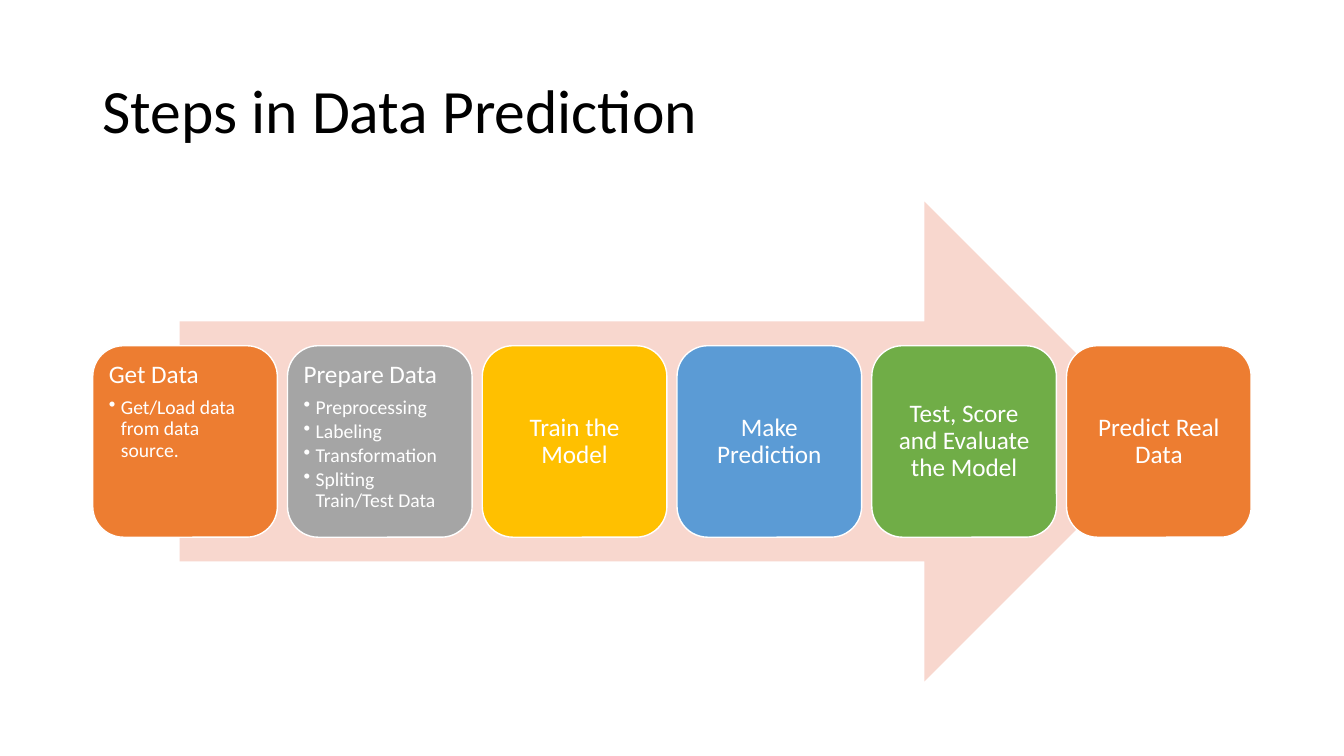
from lxml.etree import SubElement
from pptx import Presentation
from pptx.dml.color import RGBColor
from pptx.enum.shapes import MSO_SHAPE
from pptx.enum.text import MSO_ANCHOR, PP_ALIGN
from pptx.oxml.ns import qn
from pptx.util import Inches, Pt

SLIDE_WIDTH, SLIDE_HEIGHT = 13.33, 7.5
MARGIN = 0.92
CONTENT_WIDTH = SLIDE_WIDTH - 2 * MARGIN
STEP_GAP = 0.1
STEP_HEIGHT = 1.9
ARROW_TOP, ARROW_HEIGHT = 2, 4.76
ARROW_SHARE = 0.85
STEPS = [
    ("Get Data", "ED7D31", ["Get/Load data from data source."]),
    ("Prepare Data", "A5A5A5", ["Preprocessing", "Labeling", "Transformation",
                                "Spliting Train/Test Data"]),
    ("Train the Model", "FFC000", []),
    ("Make Prediction", "5B9BD5", []),
    ("Test, Score and Evaluate the Model", "70AD47", []),
    ("Predict Real Data", "ED7D31", []),
]


def color(hex_string):
    """Turn a hex string into a colour."""
    return RGBColor.from_string(hex_string)


class ProcessSlide:
    """Holds the text style and the slide being built."""

    font_name = "Calibri"
    line_spacing = 0.9
    inset = Inches(0.07)

    def __init__(self, slide):
        """Keep the slide that receives the elements."""
        self.slide = slide

    def set_text(self, paragraph, text, size, hex_string, space_after=0):
        """Fill a paragraph with styled text."""
        paragraph.text = text
        paragraph.line_spacing = self.line_spacing
        paragraph.space_after = Pt(space_after)
        paragraph.font.name = self.font_name
        paragraph.font.size = Pt(size)
        paragraph.font.color.rgb = color(hex_string)

    def add_title(self, text, left, top, width, height):
        """Add the slide title."""
        box = self.slide.shapes.add_textbox(*map(Inches, (left, top, width, height)))
        frame = box.text_frame
        frame.word_wrap = True
        frame.vertical_anchor = MSO_ANCHOR.MIDDLE
        self.set_text(frame.paragraphs[0], text, 44, "000000")

    def add_panel(self, kind, fill, left, top, width, height):
        """Add a filled preset shape without outline or shadow."""
        shape = self.slide.shapes.add_shape(
            kind, *map(Inches, (left, top, width, height)))
        shape.shadow.inherit = False
        shape.fill.solid()
        shape.fill.fore_color.rgb = color(fill)
        shape.line.fill.background()
        return shape

    def add_bullet(self, frame, text):
        """Add a bulleted detail to a step."""
        paragraph = frame.add_paragraph()
        paragraph.level = 1
        paragraph.alignment = PP_ALIGN.LEFT
        self.set_text(paragraph, text, 14, "FFFFFF", space_after=2)
        properties = paragraph._p.get_or_add_pPr()
        indent = Inches(0.12)
        properties.set("marL", str(indent))
        properties.set("indent", str(-indent))
        SubElement(properties, qn("a:buChar"), char="\u2022")
        # The schema wants the bullet ahead of the default run properties.
        defaults = properties.find(qn("a:defRPr"))
        if defaults is not None:
            properties.append(defaults)

    def add_step(self, heading, fill, details, *bounds):
        """Add a step card, centred unless it lists details."""
        card = self.add_panel(MSO_SHAPE.ROUNDED_RECTANGLE, fill, *bounds)
        card.line.color.rgb = color("FFFFFF")
        card.line.width = Pt(1)
        frame = card.text_frame
        frame.word_wrap = True
        frame.margin_left = frame.margin_right = self.inset
        frame.margin_top = frame.margin_bottom = self.inset
        frame.vertical_anchor = MSO_ANCHOR.TOP if details else MSO_ANCHOR.MIDDLE
        title = frame.paragraphs[0]
        title.alignment = PP_ALIGN.LEFT if details else PP_ALIGN.CENTER
        self.set_text(title, heading, 18, "FFFFFF", space_after=6.3)
        for detail in details:
            self.add_bullet(frame, detail)


def main():
    """Build the slide and save it."""
    presentation = Presentation()
    presentation.slide_width = Inches(SLIDE_WIDTH)
    presentation.slide_height = Inches(SLIDE_HEIGHT)
    page = ProcessSlide(presentation.slides.add_slide(presentation.slide_layouts[6]))

    page.add_title("Steps in Data Prediction", MARGIN, 0.4, CONTENT_WIDTH, 1.45)

    arrow_width = CONTENT_WIDTH * ARROW_SHARE
    page.add_panel(MSO_SHAPE.RIGHT_ARROW, "F8D7CE", (SLIDE_WIDTH - arrow_width) / 2,
                   ARROW_TOP, arrow_width, ARROW_HEIGHT)

    pitch = (CONTENT_WIDTH + STEP_GAP) / len(STEPS)
    step_top = ARROW_TOP + (ARROW_HEIGHT - STEP_HEIGHT) / 2
    for column, (heading, fill, details) in enumerate(STEPS):
        page.add_step(heading, fill, details, MARGIN + column * pitch, step_top,
                      pitch - STEP_GAP, STEP_HEIGHT)

    presentation.save("out.pptx")


main()
